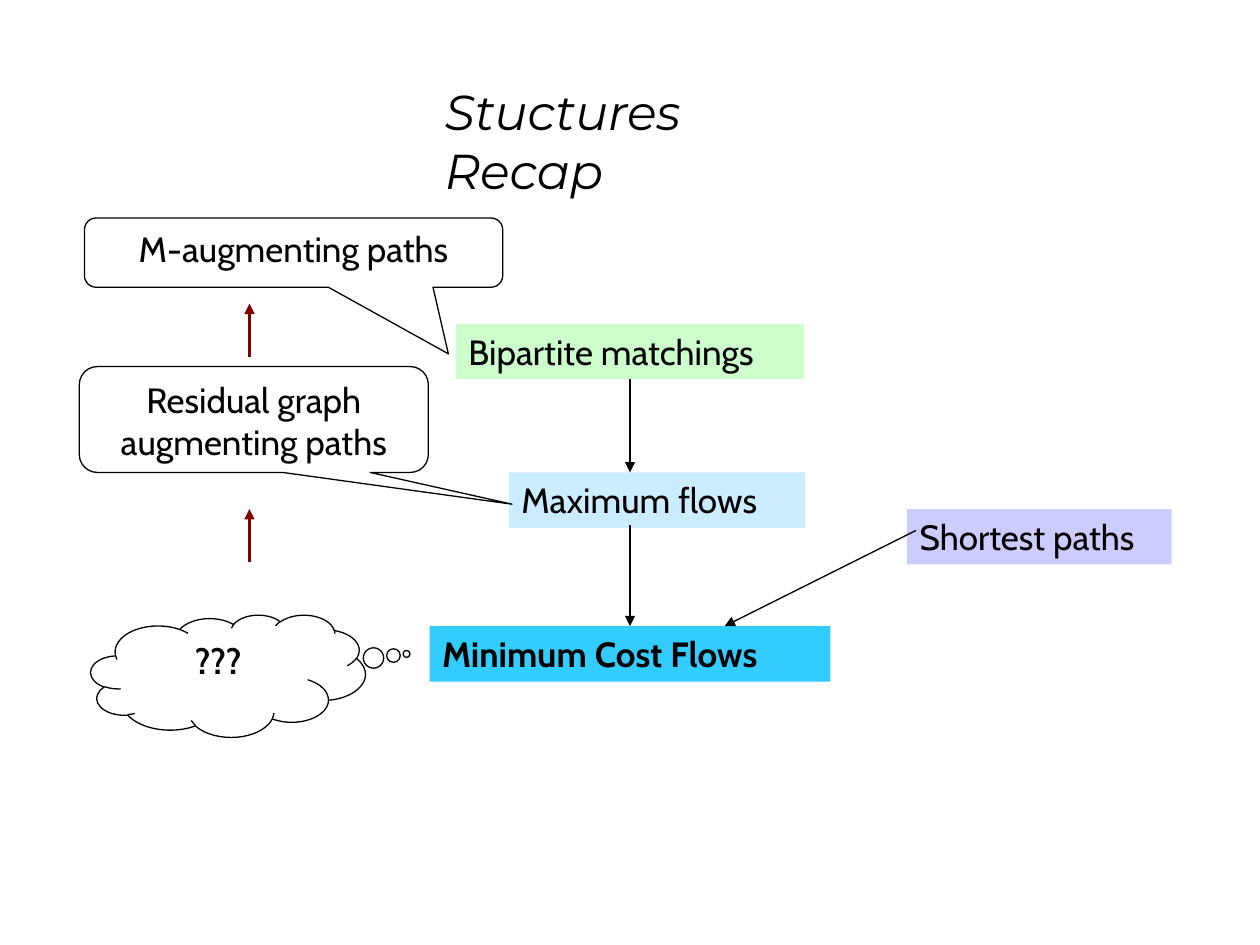
from typing import NamedTuple, Optional

from lxml.etree import SubElement
from pptx import Presentation
from pptx.dml.color import RGBColor
from pptx.enum.shapes import MSO_CONNECTOR, MSO_SHAPE as Preset
from pptx.enum.text import MSO_ANCHOR, PP_ALIGN as Align
from pptx.oxml.ns import qn
from pptx.util import Inches, Pt

BLACK = RGBColor(0x00, 0x00, 0x00)
MAROON = RGBColor(0x80, 0x00, 0x00)
GREEN = RGBColor(0xCC, 0xFF, 0xCC)
PALE_BLUE = RGBColor(0xCC, 0xEC, 0xFF)
LILAC = RGBColor(0xCC, 0xCC, 0xFF)
BRIGHT_BLUE = RGBColor(0x33, 0xCC, 0xFF)

# The slide is a grid of 100 columns by 75 rows
COLUMNS, ROWS = 100, 75
SLIDE_WIDTH, SLIDE_HEIGHT = Inches(10), Inches(7.5)
PROBLEM_ROWS = 4.4
SPINE = 50        # column of the arrows that link the problems
IDEA_SPINE = 19.8  # column of the arrows that link the callouts
TOP, BOTTOM = 0, 2


class Problem(NamedTuple):
    text: str
    column: float
    row: float
    columns: float
    fill: RGBColor
    bold: bool = False


class Callout(NamedTuple):
    lines: tuple
    preset: Preset
    column: float
    row: float
    columns: float
    rows: float
    adjustments: tuple
    bold: bool = False


class Arrow(NamedTuple):
    start: tuple
    end: tuple
    color: RGBColor = BLACK
    width: float = 0.75
    source: Optional[str] = None
    target: Optional[str] = None


PROBLEMS = (
    Problem("Bipartite matchings", 36.2, 25.7, 27.6, GREEN),
    Problem("Maximum flows", 40.4, 37.5, 23.5, PALE_BLUE),
    Problem("Shortest paths", 72, 40.4, 21, LILAC),
    Problem("Minimum Cost Flows", 34.1, 49.7, 31.8, BRIGHT_BLUE, True),
)
CALLOUTS = (
    Callout(("M-augmenting paths",), Preset.ROUNDED_RECTANGULAR_CALLOUT,
            6.7, 17.3, 33.2, 5.5, (0.37, 1.46, 0.17)),
    Callout(("Residual graph", "augmenting paths"), Preset.ROUNDED_RECTANGULAR_CALLOUT,
            6.3, 29.1, 27.7, 8.4, (0.74, 0.8, 0.17)),
    Callout(("???",), Preset.CLOUD_CALLOUT, 7.2, 48.8, 21.8, 9.7, (0.65, -0.18), True),
)
ARROWS = (
    Arrow((SPINE, 30.1), (SPINE, 37.5), source="Bipartite matchings"),
    Arrow((SPINE, 41.7), (SPINE, 49.7), target="Minimum Cost Flows"),
    Arrow((72.7, 42.1), (57.5, 49.7)),
    Arrow((IDEA_SPINE, 28.3), (IDEA_SPINE, 24.1), MAROON, 1.5),
    Arrow((IDEA_SPINE, 44.6), (IDEA_SPINE, 40.4), MAROON, 1.5),
)


def across(columns: float) -> int:
    return round(SLIDE_WIDTH * columns / COLUMNS)


def down(rows: float) -> int:
    return round(SLIDE_HEIGHT * rows / ROWS)


def write(shape, lines, font_name="Cabin", size=20, align=Align.LEFT,
          bold=False, italic=False, wrap=True) -> None:
    frame = shape.text_frame
    frame.word_wrap = wrap
    frame.vertical_anchor = MSO_ANCHOR.TOP
    for index, line in enumerate(lines):
        paragraph = frame.add_paragraph() if index else frame.paragraphs[0]
        paragraph.alignment = align
        paragraph.space_before = Pt(0)
        run = paragraph.add_run()
        run.text = line
        font = run.font
        font.name, font.size = font_name, Pt(size)
        font.bold, font.italic = bold, italic
        font.color.rgb = BLACK


def add_problem(slide, problem: Problem):
    box = slide.shapes.add_shape(
        Preset.RECTANGLE, across(problem.column), down(problem.row),
        across(problem.columns), down(PROBLEM_ROWS))
    box.shadow.inherit = False
    box.fill.solid()
    box.fill.fore_color.rgb = problem.fill
    box.line.fill.background()
    write(box, [problem.text], bold=problem.bold)
    return box


def add_callout(slide, callout: Callout) -> None:
    bubble = slide.shapes.add_shape(
        callout.preset, across(callout.column), down(callout.row),
        across(callout.columns), down(callout.rows))
    for index, value in enumerate(callout.adjustments):
        bubble.adjustments[index] = value
    bubble.shadow.inherit = False
    bubble.fill.background()
    bubble.line.color.rgb = BLACK
    bubble.line.width = Pt(0.75)
    write(bubble, callout.lines, align=Align.CENTER, bold=callout.bold)


def add_arrow(slide, arrow: Arrow, boxes: dict) -> None:
    (start_column, start_row), (end_column, end_row) = arrow.start, arrow.end
    connector = slide.shapes.add_connector(
        MSO_CONNECTOR.STRAIGHT, across(start_column), down(start_row),
        across(end_column), down(end_row))
    if arrow.source:
        connector.begin_connect(boxes[arrow.source], BOTTOM)
    if arrow.target:
        connector.end_connect(boxes[arrow.target], TOP)
    connector.line.color.rgb = arrow.color
    connector.line.width = Pt(arrow.width)
    # Arrowhead, and no theme shadow
    properties = connector.element.spPr
    SubElement(properties.find(qn("a:ln")), qn("a:tailEnd"), type="triangle")
    SubElement(properties, qn("a:effectLst"))


def main() -> None:
    deck = Presentation()
    deck.slide_width, deck.slide_height = SLIDE_WIDTH, SLIDE_HEIGHT
    slide = deck.slides.add_slide(deck.slide_layouts[5])

    # Title
    title = slide.shapes.title
    title.left, title.top = across(34.3), down(6)
    title.width, title.height = across(31.5), down(5.7)
    write(title, ["Stuctures Recap"], "Montserrat", 28, italic=True)

    # Problems, the callouts about them and the arrows between
    boxes = {problem.text: add_problem(slide, problem) for problem in PROBLEMS}
    for callout in CALLOUTS:
        add_callout(slide, callout)
    for arrow in ARROWS:
        add_arrow(slide, arrow, boxes)

    deck.save("out.pptx")


if __name__ == "__main__":
    main()
